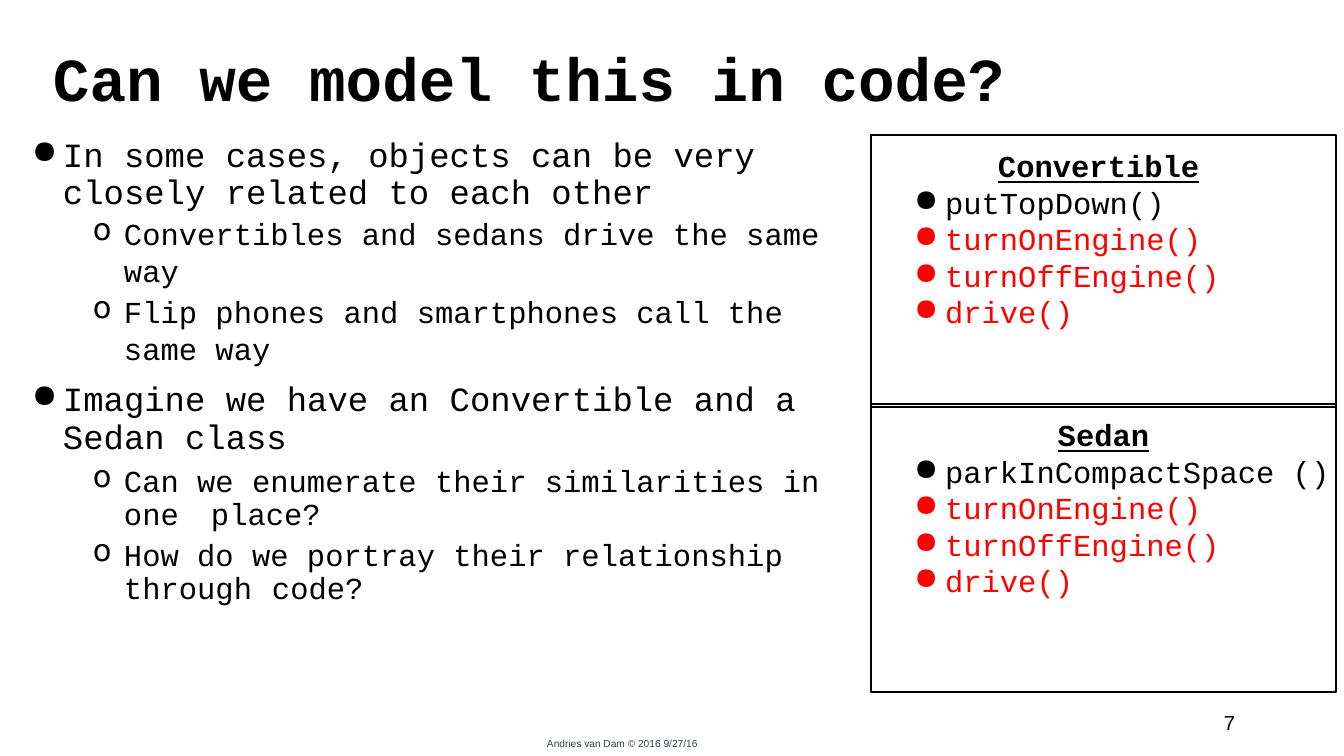
import pptx
import pptx.dml.color
import pptx.enum.shapes
import pptx.enum.text
import pptx.oxml
import pptx.oxml.ns
import pptx.util
from dataclasses import dataclass

PX = 914400 / 122


@dataclass(frozen=True)
class Theme:
    """Colours, fonts and type sizes."""
    ink: str = "000000"
    shared: str = "FF0000"
    footer: str = "333E4E"
    code: str = "Courier New"
    plain: str = "Arial"
    title_size: int = 36
    point_size: int = 20
    detail_size: int = 18
    number_size: int = 12
    credit_size: int = 6


T = Theme()


def px(n):
    """Turn pixels into EMU."""
    return pptx.util.Emu(round(n * PX))


def rgb(colour):
    """Make a colour from its hex code."""
    return pptx.dml.color.RGBColor.from_string(colour)


def set_frame(tf, left=0, top=1):
    """Wrap the text from the top and set the insets."""
    tf.word_wrap = True
    tf.vertical_anchor = pptx.enum.text.MSO_ANCHOR.TOP
    tf.margin_left, tf.margin_top = px(left), px(top)
    tf.margin_right = tf.margin_bottom = 0
    return tf


def add_box(s, box):
    """Add a text box and return its frame."""
    return set_frame(s.shapes.add_textbox(*map(px, box)).text_frame)


def add_line(tf, text, size, colour=T.ink, font=T.code, bold=False, before=0, spacing=None):
    """Write the next paragraph of a frame."""
    p = tf.paragraphs[0] if not tf.paragraphs[0].runs else tf.add_paragraph()
    p.add_run().text = text
    p.alignment = pptx.enum.text.PP_ALIGN.LEFT
    p.font.size, p.font.name, p.font.bold = pptx.util.Pt(size), font, bold
    p.font.color.rgb = rgb(colour)
    p.space_before = pptx.util.Pt(before)
    if spacing:
        p.line_spacing = pptx.util.Pt(spacing)
    return p


def set_bullet(p, indent, char, colour=T.ink, percent=100):
    """Give a paragraph a hanging bullet."""
    pPr = p._p.get_or_add_pPr()
    pPr.set("marL", str(px(indent)))
    pPr.set("indent", str(-px(31)))
    ns = pptx.oxml.ns.nsdecls("a")
    marks = (f'<a:buClr {ns}><a:srgbClr val="{colour}"/></a:buClr>',
             f'<a:buSzPct {ns} val="{percent * 1000}"/>',
             f'<a:buChar {ns} char="{char}"/>')
    for at, mark in enumerate(marks, len(pPr.findall(pptx.oxml.ns.qn("a:lnSpc")))
                              + len(pPr.findall(pptx.oxml.ns.qn("a:spcBef")))):
        pPr.insert(at, pptx.oxml.parse_xml(mark))


def add_title(s, box, text):
    """Place the slide heading."""
    add_line(add_box(s, box), text, T.title_size, bold=True, before=1)


def add_points(s, box, points):
    """Place the two-level list."""
    tf = add_box(s, box)
    tf.margin_top = px(6)
    for level, text, before, spacing in points:
        size = T.detail_size if level else T.point_size
        p = add_line(tf, text, size, before=before, spacing=spacing)
        p.level = level
        if level:
            set_bullet(p, 96, "o")
        else:
            set_bullet(p, 35, "●", percent=95)


def add_class(s, box, name, own, shared, name_indent=None):
    """Place a framed class with its own and shared methods."""
    sp = s.shapes.add_shape(pptx.enum.shapes.MSO_SHAPE.RECTANGLE, *map(px, box))
    sp.shadow.inherit = False
    sp.fill.background()
    sp.line.color.rgb = rgb(T.ink)
    sp.line.width = pptx.util.Pt(0.75)
    tf = set_frame(sp.text_frame, top=12)
    p = add_line(tf, name, T.detail_size, bold=True, before=1)
    p.font.underline = True
    if name_indent is None:
        p.alignment = pptx.enum.text.PP_ALIGN.CENTER
    else:
        p._p.get_or_add_pPr().set("marL", str(px(name_indent)))
    for method, colour in [(own, T.ink)] + [(m, T.shared) for m in shared]:
        p = add_line(tf, method, T.detail_size, colour)
        set_bullet(p, 74, "●", colour)


def add_footer(s, credit_box, credit, number_box, number):
    """Place the credit line and the page number."""
    add_line(add_box(s, credit_box), credit, T.credit_size, T.footer, T.plain, before=0.4)
    tf = add_box(s, number_box)
    tf.margin_left = px(16)
    add_line(tf, number, T.number_size, font=T.plain, before=0.8)


def main():
    """Build the slide and save it."""
    prs = pptx.Presentation()
    prs.slide_width, prs.slide_height = px(1344), px(756)
    s = prs.slides.add_slide(prs.slide_layouts[6])
    add_points(s, (28, 132, 830, 437), [
        (0, "In some cases, objects can be very closely related to each other", 3.7, 21.6),
        (1, "Convertibles and sedans drive the same way", 2.5, None),
        (1, "Flip phones and smartphones call the same way", 2.9, None),
        (0, "Imagine we have an Convertible and a Sedan class", 7.5, 22.8),
        (1, "Can we enumerate their similarities in one\tplace?", 5.4, 19.4),
        (1, "How do we portray their relationship through\tcode?", 5, 19.4),
    ])
    add_title(s, (53, 39, 1142, 128), "Can we model this in code?")
    shared = ["turnOnEngine()", "turnOffEngine()", "drive()"]
    add_class(s, (871, 135, 465, 272), "Convertible", "putTopDown()", shared, 127)
    add_class(s, (871, 404, 465, 288), "Sedan", "parkInCompactSpace ()", shared)
    add_footer(s, (547, 736, 170, 16), "Andries van Dam © 2016 9/27/16",
               (1208, 709, 38, 28), "7")
    prs.save("out.pptx")


if __name__ == "__main__":
    main()
